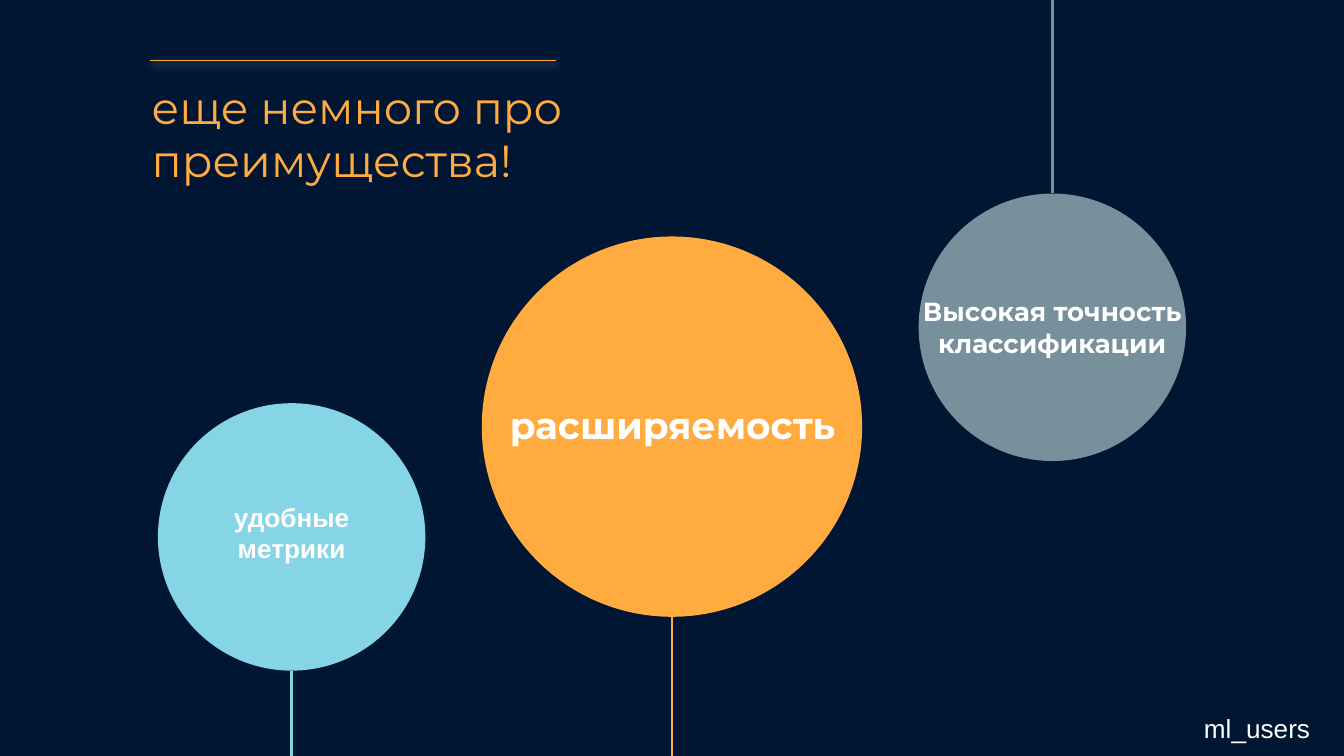
"""Build the slide on further advantages with three hanging circles."""
from dataclasses import dataclass

from lxml.etree import SubElement
from pptx import Presentation
from pptx.dml.color import RGBColor
from pptx.enum.shapes import MSO_CONNECTOR, MSO_SHAPE
from pptx.enum.text import MSO_ANCHOR, PP_ALIGN
from pptx.oxml.ns import qn
from pptx.slide import Slide
from pptx.util import Inches, Pt

NAVY = RGBColor(0x00, 0x16, 0x33)
ORANGE = RGBColor(0xFF, 0xAB, 0x40)
CYAN = RGBColor(0x85, 0xD5, 0xE6)
GREY = RGBColor(0x78, 0x90, 0x9C)
WHITE = RGBColor(0xFF, 0xFF, 0xFF)
WIDTH = 10
HEIGHT = WIDTH * 9 / 16


@dataclass
class Bubble:
    """A circle, its stem to a slide edge and its label."""
    center: float
    y: float
    diameter: float
    color: RGBColor
    hangs: bool
    text: str
    box: tuple[float, float, float, float]
    size: int = 14
    font: str = "Montserrat"
    inset: float = 0.1


BUBBLES = [
    Bubble(2.17, 3, 1.99, CYAN, False, "удобные метрики",
           (1.41, 3.68, 1.52, 1.01), font="Arial", inset=0.05),
    Bubble(WIDTH / 2, 1.76, 2.83, ORANGE, False, "расширяемость",
           (3.4, 2.89, 3.21, 1.84), size=20),
    Bubble(7.83, 1.44, 1.99, GREY, True, "Высокая точность классификации",
           (6.58, 2.1, 2.5, 1.12)),
]


def add_text(s: Slide, text: str, box: tuple[float, float, float, float], *,
             size: int = 14, font: str = "Arial", color: RGBColor = WHITE,
             bold: bool = False, align: PP_ALIGN = PP_ALIGN.LEFT,
             inset: float = 0.05) -> None:
    """Add a wrapped, top-anchored text box."""
    tf = s.shapes.add_textbox(*map(Inches, box)).text_frame
    tf.word_wrap = True
    tf.vertical_anchor = MSO_ANCHOR.TOP
    tf.margin_left = tf.margin_right = Inches(0.1)
    tf.margin_top = tf.margin_bottom = Inches(inset)
    p = tf.paragraphs[0]
    p.alignment = align
    r = p.add_run()
    r.text = text
    r.font.name = font
    r.font.size = Pt(size)
    r.font.bold = bold
    r.font.color.rgb = color


def add_line(s: Slide, x1: float, y1: float, x2: float, y2: float,
             color: RGBColor, width: float, glow: bool = False) -> None:
    """Add a straight line, with a soft white shadow if glow is set."""
    line = s.shapes.add_connector(MSO_CONNECTOR.STRAIGHT,
                                  *map(Inches, (x1, y1, x2, y2)))
    line.line.color.rgb = color
    line.line.width = Pt(width)
    effects = SubElement(line._element.spPr, qn("a:effectLst"))
    if glow:
        shadow = SubElement(effects, qn("a:outerShdw"), blurRad=str(Pt(4.5)),
                            dist=str(Pt(1.5)), dir="5400000",
                            algn="bl", rotWithShape="0")
        tint = SubElement(shadow, qn("a:srgbClr"), val=str(WHITE))
        SubElement(tint, qn("a:alpha"), val="50000")


def add_bubble(s: Slide, bubble: Bubble) -> None:
    """Draw one circle with its stem and label."""
    d = Inches(bubble.diameter)
    left = Inches(bubble.center - bubble.diameter / 2)
    sp = s.shapes.add_shape(MSO_SHAPE.OVAL, left, Inches(bubble.y), d, d)
    sp.shadow.inherit = False
    sp.fill.solid()
    sp.fill.fore_color.rgb = bubble.color
    sp.line.fill.background()
    start, end = ((bubble.y, 0) if bubble.hangs
                  else (bubble.y + bubble.diameter, HEIGHT))
    add_line(s, bubble.center, start, bubble.center, end, bubble.color, 1.5)
    add_text(s, bubble.text, bubble.box, size=bubble.size, font=bubble.font,
             bold=True, align=PP_ALIGN.CENTER, inset=bubble.inset)


def main() -> None:
    """Assemble and save the slide."""
    prs = Presentation()
    prs.slide_width, prs.slide_height = Inches(WIDTH), Inches(HEIGHT)
    s = prs.slides.add_slide(prs.slide_layouts[6])
    s.background.fill.solid()
    s.background.fill.fore_color.rgb = NAVY
    add_text(s, "еще немного про преимущества!", (1.03, 0.49, 5.06, 1.03),
             size=24, font="Montserrat", color=ORANGE, inset=0.1)
    add_line(s, 1.12, 0.45, 4.14, 0.45, ORANGE, 0.75, glow=True)
    for bubble in BUBBLES:
        add_bubble(s, bubble)
    add_text(s, "ml_users", (8.86, 5.25, 1.14, 0.34))
    prs.save("out.pptx")


if __name__ == "__main__":
    main()
